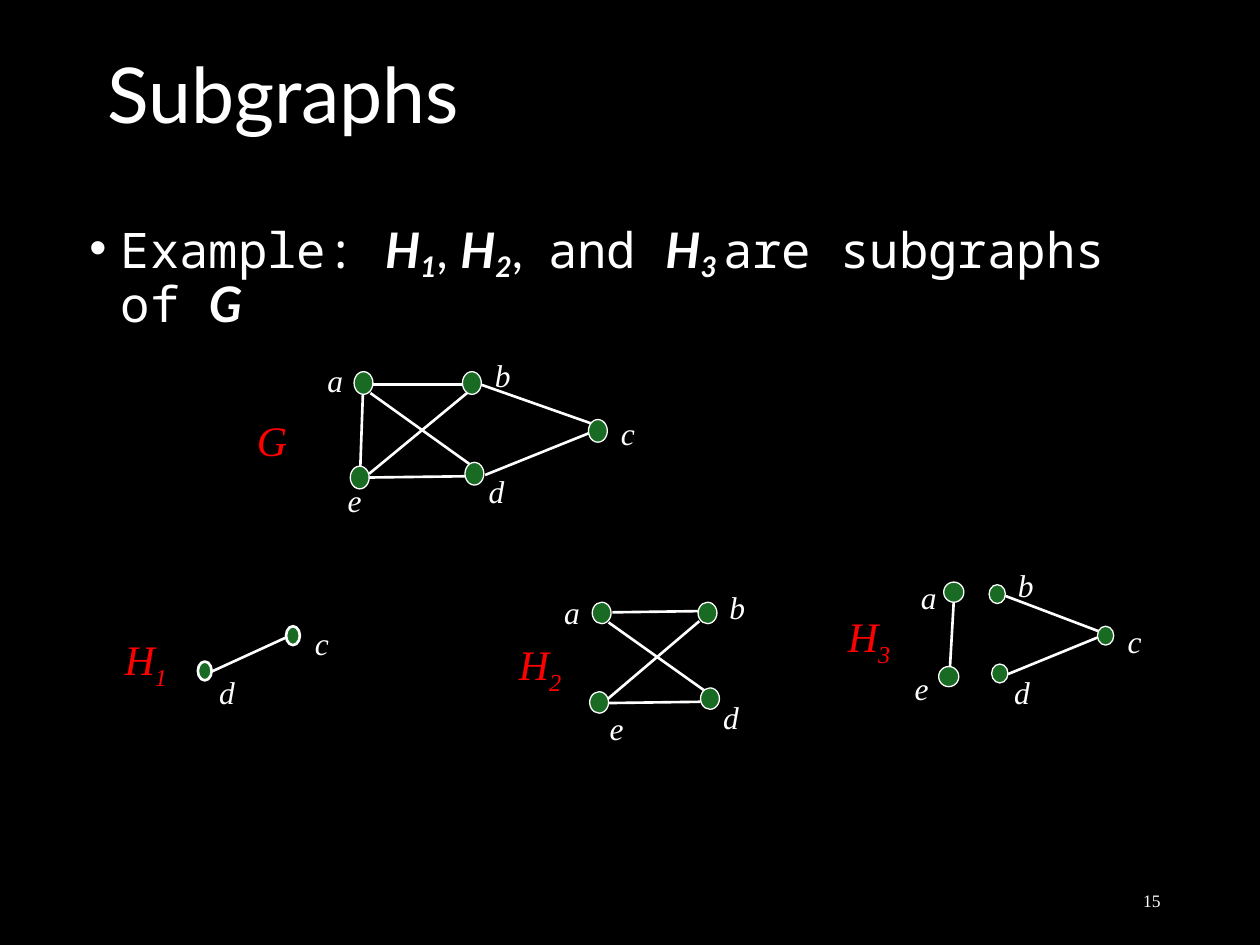
from dataclasses import dataclass

from lxml import etree
from pptx import Presentation
from pptx.dml.color import RGBColor
from pptx.enum.shapes import MSO_CONNECTOR, MSO_SHAPE
from pptx.enum.text import MSO_ANCHOR, MSO_AUTO_SIZE, PP_ALIGN
from pptx.oxml.ns import qn
from pptx.util import Inches, Pt

OVAL = MSO_SHAPE.OVAL
STRAIGHT = MSO_CONNECTOR.STRAIGHT
TOP, MIDDLE = MSO_ANCHOR.TOP, MSO_ANCHOR.MIDDLE
LEFT, RIGHT = PP_ALIGN.LEFT, PP_ALIGN.RIGHT
NO_FIT, GROW = MSO_AUTO_SIZE.NONE, MSO_AUTO_SIZE.SHAPE_TO_FIT_TEXT
SANS, MONO, SERIF = "Lato", "Noto Sans Mono", "Times New Roman"


def color(value):
    """Turn a hex string into a colour."""
    return RGBColor.from_string(value)


@dataclass
class Graph:
    """Describe one drawn graph: nodes hold oval and label corners."""

    node_size: tuple
    label_width: float
    nodes: dict
    edges: list
    outline: float = 0.75


GRAPHS = [
    Graph(
        (0.15, 0.18),
        0.41,
        {
            "a": (2.81, 2.95, 2.5, 2.82),
            "b": (3.67, 2.95, 3.83, 2.78),
            "c": (4.67, 3.33, 4.83, 3.24),
            "d": (3.69, 3.67, 3.78, 3.7),
            "e": (2.78, 3.7, 2.66, 3.77),
        },
        [
            (2.88, 3.13, 2.86, 3.7),
            (2.93, 3.79, 3.69, 3.78),
            (3.85, 3.77, 4.67, 3.44),
            (3.81, 3.05, 4.69, 3.36),
            (2.95, 3.05, 3.71, 3.05),
            (2.93, 3.76, 3.73, 3.1),
            (2.94, 3.12, 3.75, 3.7),
        ],
    ),
    Graph(
        (0.11, 0.15),
        0.3,
        {"c": (2.27, 4.97, 2.4, 4.9), "d": (1.57, 5.25, 1.64, 5.29)},
        [(1.68, 5.33, 2.27, 5.06)],
        1.5,
    ),
    Graph(
        (0.15, 0.17),
        0.4,
        {
            "a": (4.7, 4.78, 4.38, 4.66),
            "b": (5.54, 4.78, 5.69, 4.62),
            "d": (5.56, 5.46, 5.64, 5.49),
            "e": (4.68, 5.49, 4.74, 5.58),
        },
        [
            (4.82, 5.58, 5.56, 5.57),
            (4.86, 4.86, 5.55, 4.85),
            (4.82, 5.55, 5.55, 4.93),
            (4.83, 4.94, 5.59, 5.48),
        ],
    ),
    Graph(
        (0.16, 0.16),
        0.45,
        {"a": (7.49, 4.62, 7.21, 4.54), "e": (7.45, 5.29, 7.16, 5.26)},
        [(7.57, 4.77, 7.54, 5.29)],
    ),
    Graph(
        (0.13, 0.15),
        0.35,
        {
            "b": (7.85, 4.64, 7.98, 4.44),
            "c": (8.71, 4.97, 8.85, 4.89),
            "d": (7.87, 5.27, 7.95, 5.29),
        },
        [(8, 5.35, 8.71, 5.06), (7.98, 4.73, 8.72, 5.01)],
    ),
]

NAMES = [
    ("G", "", 1.94, 3.24, 0.56, 0.5),
    ("H", "1", 0.89, 4.98, 1.01, 0.56),
    ("H", "2", 4.02, 5.02, 1.02, 0.56),
    ("H", "3", 6.63, 4.8, 1.01, 0.56),
]


class SlideBuilder:
    """Hold the slide and its colours, and add each kind of element."""

    white, red, green, black = "FFFFFF", "FF0000", "196B24", "000000"

    def __init__(self, slide):
        self.slide = slide
        fill = slide.background.fill
        fill.solid()
        fill.fore_color.rgb = color(self.black)

    def add_run(self, paragraph, text, size, font=SERIF, fill=white,
                bold=False, italic=False, baseline=0):
        """Append one formatted run."""
        run = paragraph.add_run()
        run.text = text
        run.font.name = font
        run.font.size = Pt(size)
        run.font.bold = bold
        run.font.italic = italic
        run.font.color.rgb = color(fill)
        if baseline:
            run._r.get_or_add_rPr().set("baseline", str(baseline * 1000))

    def place_placeholder(self, shape, box, anchor):
        """Move a placeholder and return its first paragraph."""
        shape.left, shape.top, shape.width, shape.height = map(Inches, box)
        frame = shape.text_frame
        frame.auto_size = NO_FIT
        frame.vertical_anchor = anchor
        paragraph = frame.paragraphs[0]
        paragraph.alignment = LEFT
        paragraph.line_spacing = 0.9
        paragraph.space_before = Pt(0)
        return paragraph

    def add_title(self, text):
        """Fill the title placeholder."""
        paragraph = self.place_placeholder(
            self.slide.shapes.title, (0.75, 0.18, 8.5, 1.21), MIDDLE)
        self.add_run(paragraph, text, 44, SANS)

    def add_bullet(self, runs):
        """Fill the body placeholder with one bulleted paragraph."""
        paragraph = self.place_placeholder(
            self.slide.placeholders[1], (0.61, 1.71, 8.5, 5.22), TOP)
        properties = paragraph._p.get_or_add_pPr()
        properties.set("marL", str(Inches(0.25)))
        properties.set("indent", str(Inches(-0.25)))
        etree.SubElement(properties, qn("a:buFont")).set("typeface", "Arial")
        etree.SubElement(properties, qn("a:buChar")).set("char", "•")
        for text, font, strong, baseline in runs:
            self.add_run(paragraph, text, 28, font, bold=strong,
                         italic=strong, baseline=baseline)

    def add_text(self, box, anchor=TOP, fit=GROW, alignment=LEFT):
        """Add a text box and return its first paragraph."""
        frame = self.slide.shapes.add_textbox(*map(Inches, box)).text_frame
        frame.word_wrap = True
        frame.auto_size = fit
        frame.vertical_anchor = anchor
        frame.paragraphs[0].alignment = alignment
        return frame.paragraphs[0]

    def add_name(self, letter, index, *box):
        """Add the red name of a graph."""
        paragraph = self.add_text(box)
        self.add_run(paragraph, letter, 24, fill=self.red, italic=True)
        if index:
            self.add_run(paragraph, index, 24, fill=self.red, italic=True,
                         baseline=-25)

    def add_edge(self, *ends):
        """Add a straight edge."""
        edge = self.slide.shapes.add_connector(STRAIGHT, *map(Inches, ends))
        edge.line.color.rgb = color(self.white)
        edge.line.width = Pt(1.5)
        etree.SubElement(edge._element.spPr, qn("a:effectLst"))

    def add_node(self, left, top, size, outline):
        """Add a green oval node."""
        node = self.slide.shapes.add_shape(
            OVAL, *map(Inches, (left, top, *size)))
        node.shadow.inherit = False
        node.fill.solid()
        node.fill.fore_color.rgb = color(self.green)
        node.line.color.rgb = color(self.white)
        node.line.width = Pt(outline)

    def add_graph(self, graph):
        """Add the edges, nodes and labels of a graph."""
        for ends in graph.edges:
            self.add_edge(*ends)
        for letter, (left, top, label_left, label_top) in graph.nodes.items():
            self.add_node(left, top, graph.node_size, graph.outline)
            label = self.add_text((label_left, label_top, graph.label_width, 0.4))
            self.add_run(label, letter, 18, italic=True)


def main():
    """Build and save the slide."""
    presentation = Presentation()
    presentation.slide_width, presentation.slide_height = Inches(10), Inches(7.5)
    builder = SlideBuilder(
        presentation.slides.add_slide(presentation.slide_layouts[1]))
    builder.add_title("Subgraphs")
    builder.add_bullet([
        ("Example: ", MONO, False, 0),
        ("H", SANS, True, 0), ("1", SANS, True, -20), (", ", SANS, False, 0),
        ("H", SANS, True, 0), ("2", SANS, True, -20), (",  ", SANS, False, 0),
        ("and ", MONO, False, 0),
        ("H", SANS, True, 0), ("3 ", SANS, True, -20),
        ("are subgraphs of ", MONO, False, 0), ("G", SANS, True, 0),
    ])
    for graph in GRAPHS:
        builder.add_graph(graph)
    for name in NAMES:
        builder.add_name(*name)
    number = builder.add_text((7.06, 6.95, 2.25, 0.4), MIDDLE, NO_FIT, RIGHT)
    builder.add_run(number, "15", 10)
    presentation.save("out.pptx")


if __name__ == "__main__":
    main()
